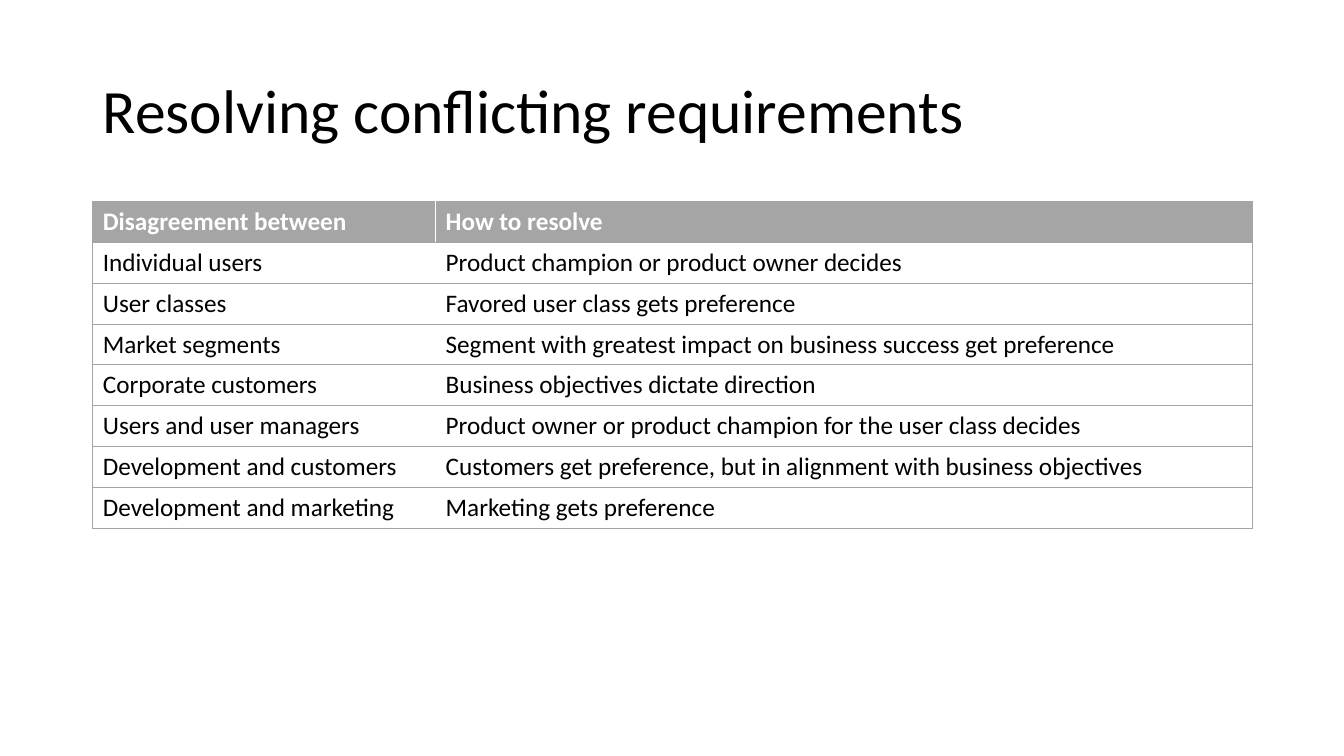
import pptx
import pptx.dml.color
import pptx.enum.text
import pptx.oxml
import pptx.oxml.ns
import pptx.util
from pptx.util import Inches

TITLE = "Resolving conflicting requirements"
ROWS = [
    ("Disagreement between", "How to resolve"),
    ("Individual users", "Product champion or product owner decides"),
    ("User classes", "Favored user class gets preference"),
    ("Market segments", "Segment with greatest impact on business success get preference"),
    ("Corporate customers", "Business objectives dictate direction"),
    ("Users and user managers", "Product owner or product champion for the user class decides"),
    ("Development and customers", "Customers get preference, but in alignment with business objectives"),
    ("Development and marketing", "Marketing gets preference"),
]
WIDTHS = (3.4, 8.1)
LEFT, TOP, HEIGHT = 0.92, 2, 3.24

FONT = "Calibri"
BLACK = pptx.dml.color.RGBColor(0x00, 0x00, 0x00)
WHITE = pptx.dml.color.RGBColor(0xFF, 0xFF, 0xFF)
GRAY = pptx.dml.color.RGBColor(0xA5, 0xA5, 0xA5)


def style(para, size, color, bold=False):
    for run in para.runs:
        font = run.font
        font.name, font.size, font.bold = FONT, pptx.util.Pt(size), bold
        font.color.rgb = color


def border(cell, sides):
    """Draw a thin gray line on the given sides, listed in the order L, R, T, B."""
    props = cell._tc.get_or_add_tcPr()
    for side in sides:
        props.append(pptx.oxml.parse_xml(
            f'<a:ln{side} {pptx.oxml.ns.nsdecls("a")} w="{pptx.util.Pt(0.5)}">'
            f'<a:solidFill><a:srgbClr val="{GRAY}"/></a:solidFill></a:ln{side}>'))


def add_title(slide):
    box = slide.shapes.add_textbox(
        Inches(LEFT), Inches(0.4), Inches(sum(WIDTHS)), Inches(1.45))
    frame = box.text_frame
    frame.word_wrap = True
    frame.vertical_anchor = pptx.enum.text.MSO_ANCHOR.MIDDLE
    frame.text = TITLE
    para = frame.paragraphs[0]
    para.line_spacing = 0.9
    style(para, 44, BLACK)


def add_rules(slide):
    table = slide.shapes.add_table(
        len(ROWS), len(WIDTHS), Inches(LEFT), Inches(TOP),
        Inches(sum(WIDTHS)), Inches(HEIGHT)).table
    table.horz_banding = False
    for col, width in zip(table.columns, WIDTHS):
        col.width = Inches(width)
    for r, row in enumerate(ROWS):
        head = r == 0
        for c, text in enumerate(row):
            cell = table.cell(r, c)
            border(cell, ("L" if c == 0 else "R", "T", "B"))
            cell.fill.solid()
            cell.fill.fore_color.rgb = GRAY if head else WHITE
            cell.text_frame.text = text
            style(cell.text_frame.paragraphs[0], 18, WHITE if head else BLACK, head)


def main():
    deck = pptx.Presentation()
    deck.slide_width, deck.slide_height = Inches(13.33), Inches(7.5)
    slide = deck.slides.add_slide(deck.slide_layouts[6])
    add_title(slide)
    add_rules(slide)
    deck.save("out.pptx")


if __name__ == "__main__":
    main()
